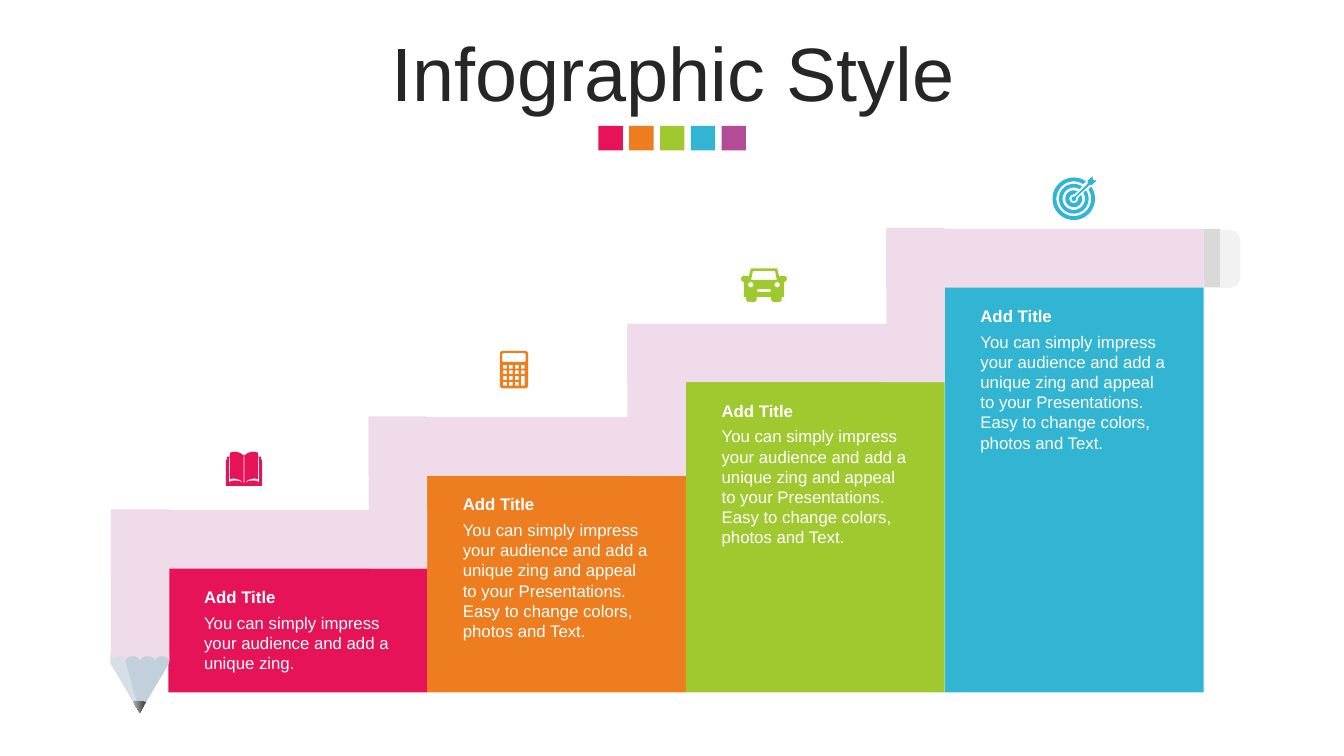
from math import asin, cos, degrees, radians, sin
from pptx import Presentation
from pptx.dml.color import RGBColor as Rgb
from pptx.enum.shapes import MSO_SHAPE as Kind
from pptx.enum.text import MSO_ANCHOR as Anchor, MSO_AUTO_SIZE as Fit, PP_ALIGN as Align
from pptx.util import Pt

# Colours
RED, ORANGE = Rgb(0xE6, 0x13, 0x58), Rgb(0xED, 0x7D, 0x1F)
GREEN, BLUE = Rgb(0xA0, 0xC8, 0x2F), Rgb(0x32, 0xB5, 0xD3)
PURPLE, PINK = Rgb(0xB4, 0x4B, 0x97), Rgb(0xF0, 0xDB, 0xEA)
WOOD, LIGHT = Rgb(0xC1, 0xD0, 0xDA), Rgb(0xD6, 0xDF, 0xE6)
DARK, GREY = Rgb(0x47, 0x47, 0x47), Rgb(0xB0, 0xB0, 0xB0)
BAND, RUBBER = Rgb(0xD9, 0xD9, 0xD9), Rgb(0xF2, 0xF2, 0xF2)
INK, WHITE = Rgb(0x26, 0x26, 0x26), Rgb(0xFF, 0xFF, 0xFF)

# Content
TITLE = "Infographic Style"
LABEL = "Add Title"
SHORT = "You can simply impress your audience and add a unique zing."
LONG = ("You can simply impress your audience and add a unique zing and appeal "
        "to your Presentations. Easy to change colors, photos and Text.")
SWATCHES = [RED, ORANGE, GREEN, BLUE, PURPLE]
# Colour, bar top, riser top, text, height of text
STEPS = [
    (RED, 406, None, SHORT, 51),
    (ORANGE, 339.8, 297.4, LONG, 94.5),
    (GREEN, 272.9, 232.3, LONG, 94.5),
    (BLUE, 205.3, 162.7, LONG, 94.5),
]
HEAD = dict(size=Pt(54), name="Arial", bold=False)
BOLD = dict(size=Pt(12), name="Arial", bold=True)
PLAIN = dict(size=Pt(12), name="Arial", bold=False)

# Layout
LEFT, STEP, BASE, THICK = 120.3, 184.85, 494.6, 41.8
NIB = 79  # left edge of the pencil tip

deck = Presentation()
deck.slide_width, deck.slide_height = Pt(960), Pt(540)
shapes = deck.slides.add_slide(deck.slide_layouts[6]).shapes


def paint(shape, color):
    shape.shadow.inherit = False
    shape.line.fill.background()
    shape.fill.solid()
    shape.fill.fore_color.rgb = color
    return shape


def block(x, y, w, h, color, kind=Kind.RECTANGLE):
    return paint(shapes.add_shape(kind, Pt(x), Pt(y), Pt(w), Pt(h)), color)


def write(x, y, w, h, words, form, color):
    box = shapes.add_textbox(Pt(x), Pt(y), Pt(w), Pt(h))
    box.text_frame.word_wrap = True
    para = box.text_frame.paragraphs[0]
    run = para.add_run()
    run.text = words
    for key, value in form.items():
        setattr(run.font, key, value)
    run.font.color.rgb = color
    return box.text_frame, para


def draw(loops, color, x=0, y=0):
    """Fill closed loops of points, offset by x and y; inner loops are holes."""
    loops = [[(Pt(x + a), Pt(y + b)) for a, b in loop] for loop in loops]
    pen = shapes.build_freeform(*loops[0][0], scale=1.0)
    for num, loop in enumerate(loops):
        if num:
            pen.move_to(*loop[0])
        pen.add_line_segments(loop[1:], close=True)
    return paint(pen.convert_to_shape(), color)


def arc(x, y, wide, high, start, end, count=24):
    turns = [radians(start + (end - start) * i / count) for i in range(count + 1)]
    return [(x + wide * cos(t), y + high * sin(t)) for t in turns]


def round_box(x, y, w, h, r):
    mids = [(x + w - r, y + h - r), (x + r, y + h - r), (x + r, y + r), (x + w - r, y + r)]
    return [p for i, (a, b) in enumerate(mids) for p in arc(a, b, r, r, 90 * i, 90 * i + 90, 5)]


def flip(loop):
    return [(-x, y) for x, y in reversed(loop)]


def ring(outer, inner, gap=1.9):
    far, near = [degrees(asin(gap / r)) for r in (outer, inner)]
    return (arc(0, 0, outer, outer, far - 45, 315 - far, 48)
            + arc(0, 0, inner, inner, 315 - near, near - 45, 48))


# Heading
for i, color in enumerate(SWATCHES):
    block(427.5 + 22 * i, 90, 17.4, 17.4, color)
frame, para = write(25.2, 26.6, 911.5, 56.9, TITLE, HEAD, INK)
frame.vertical_anchor = Anchor.MIDDLE
para.alignment, para.line_spacing = Align.CENTER, 0.9

# Bars with their text
for i, (color, top, rise, words, tall) in enumerate(STEPS):
    x = LEFT + STEP * i
    block(x, top, STEP, BASE - top, color)
    for y, h, text, form in [(28, tall, words, PLAIN), (9.5, 21.8, LABEL, BOLD)]:
        frame, para = write(x + 18.4, top + y, 148.3, h, text, form, WHITE)
        frame.auto_size = Fit.SHAPE_TO_FIT_TEXT

# Pencil tip
draw([[(0, 0), (THICK, 0), (THICK, 6.5), (20.9, 41.8), (0, 6.5)]], WOOD, NIB, 467.3)
draw([[(0, 0), (10.5, 0), (10.5, 5), (20.7, 41), (0, 6.5)]], LIGHT, NIB, 467.3)
lead = draw([[(0, .8), (2.4, .8), (4.8, 0), (7.2, .8), (9.4, .8), (4.7, 8.6)]],
            DARK, 95.2, 500.4)
lead.fill.gradient()
lead.fill.gradient_angle = 180
for stop, place, color in zip(lead.fill.gradient_stops, (0.15, 1), (DARK, GREY)):
    stop.position, stop.color.rgb = place, color

# Pencil barrel with a scalloped end
wave = [p for i in (3, 2, 1, 0) for p in arc(5.22 + 10.45 * i, 108.5, 5.22, 3.7, 0, -180, 12)]
draw([[(0, 0), (THICK, 0)] + wave], PINK, NIB + .2, 363.9)

# Eraser
block(859.7, 163.5, 12.2, THICK, BAND)
cap = block(858.2, 177.8, 41.2, 14.4, RUBBER, Kind.ROUND_2_SAME_RECTANGLE)
cap.adjustments[0], cap.rotation = 0.5, 90

# Pencil steps
for i, (color, top, rise, words, tall) in enumerate(STEPS):
    x = LEFT + STEP * i - THICK
    if rise:
        block(x, rise, THICK, STEPS[i - 1][1] - rise, PINK)
    block(x + (0 if i else .7), top - THICK, STEP + THICK - (0 if i else .7), THICK, PINK)

# Calculator
keys = [round_box(2.3 + 4.25 * col, 9.9 + 4.05 * row, 2.7, 2.7, .3)
        for col in range(4) for row in range(4) if col < 3 or row < 2]
draw([round_box(0, 0, 20.2, 26.7, 2.1), round_box(1.7, 1.5, 16.8, 6.4, 1.2),
      round_box(15.05, 18, 2.7, 6.75, .3)] + keys, ORANGE, 357, 250.7)

# Book
cover = [(-13, 24.5), (-13, 5.8), (-12.2, 5.8), (-12.2, 3.6), (-10, 3.6), (-10, .7),
         (-6.5, 0), (-3, .8), (0, 2.9)]
page = [(-10.8, 4.3), (-10, 4.3), (-10, 19.5), (-6.5, 19.2), (-3, 20.2), (-.4, 22.3),
        (-3.6, 20.9), (-7, 20.6), (-10.8, 21.6)]
spine = [(-.25, 3.5), (.25, 3.5), (.25, 22.3), (-.25, 22.3)]
draw([cover + flip(cover), page, flip(page), spine], RED, 174.3, 322.6)

# Car
body = [(-5.2, 20.4), (-5.2, 22.6), (-6.4, 23.8), (-11.5, 23.8), (-12.7, 22.6),
        (-12.7, 20.4), (-14.4, 20.4), (-14.4, 9.7), (-16, 8.9), (-16.4, 7.2),
        (-15.8, 5.8), (-14.6, 5.3), (-12.2, 5.3), (-10.9, 5.8), (-9.4, 0)]
glass = [(-9.2, 8.2), (-7.9, 1.7)]
lamp = arc(-9.4, 11.6, 1.9, 1.9, 0, 360)
draw([body + flip(body), glass + flip(glass), lamp, flip(lamp),
      round_box(-5, 14.7, 10, 2, .9)], GREEN, 545.7, 191.8)

# Target
dart = [(.8, -1.5), (9.9, -10.7), (9.9, -12.9), (13.4, -16), (13.7, -13.4), (16.2, -12.9),
        (12.9, -9.9), (11.1, -9.7), (1.5, -.8)]
draw([ring(15.2, 12.4, 2.7), ring(10.6, 8), ring(6, 3.1), dart,
      arc(0, 0, 1.6, 1.6, 0, 360)], BLUE, 767, 142)

deck.save("out.pptx")
